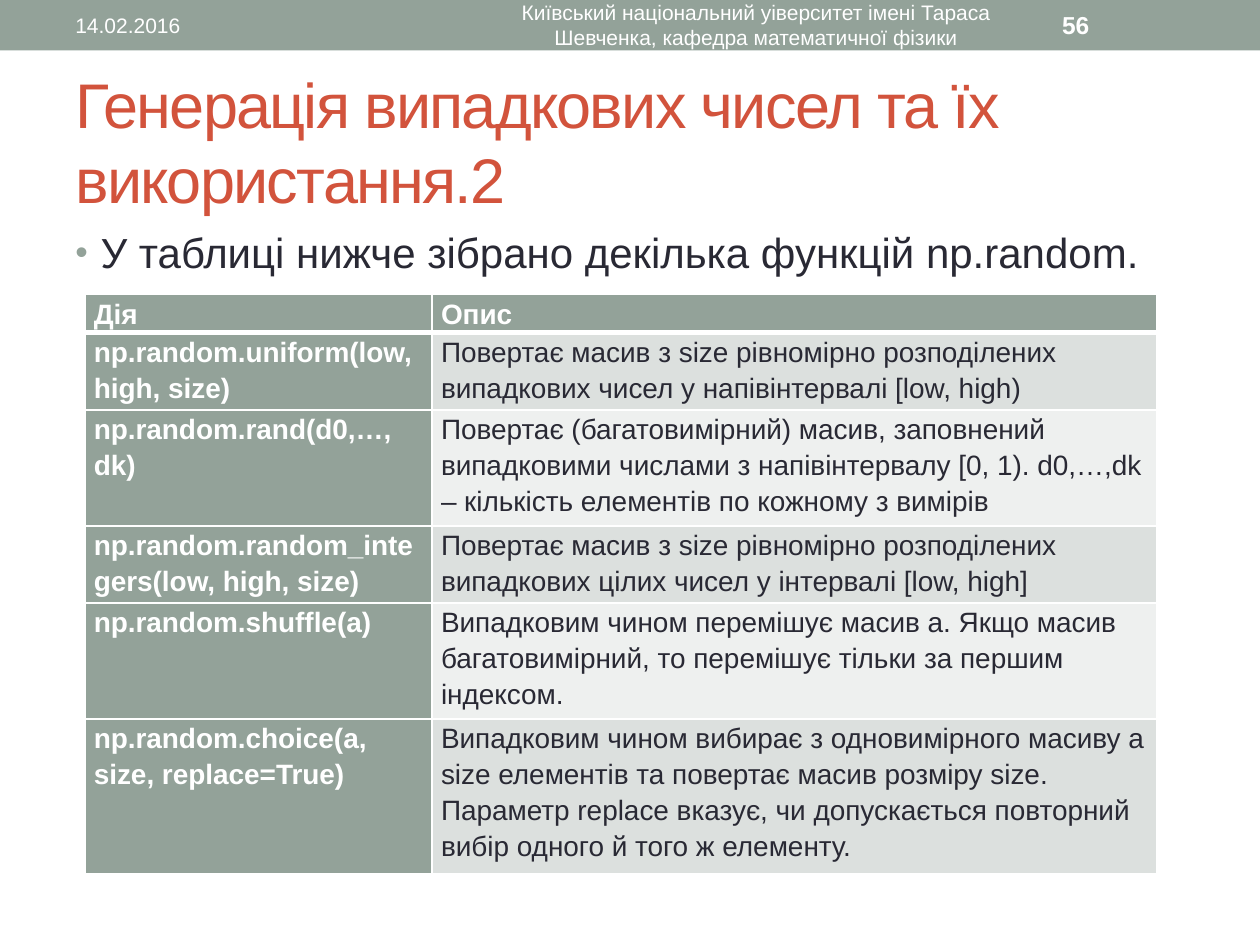
from dataclasses import dataclass

from lxml.etree import SubElement
from pptx import Presentation
from pptx.dml.color import RGBColor
from pptx.enum.shapes import MSO_SHAPE as Shape
from pptx.enum.text import MSO_ANCHOR as Anchor, PP_ALIGN as Align
from pptx.oxml import parse_xml
from pptx.oxml.ns import nsdecls, qn
from pptx.util import Cm, Pt

FONT = "Arial"
SAGE, WHITE, INK, RUST = "93A299", "FFFFFF", "292934", "D2533C"
BANDS = ("DCE0DE", "EEF0EF")
LINE_HEIGHT = 0.71


@dataclass
class Label:
    text: str
    left: float
    top: float
    width: float
    height: float
    size: float
    color: str = WHITE
    bold: bool = False
    align: Align = Align.LEFT
    anchor: Anchor = Anchor.MIDDLE
    spacing: int = 0


@dataclass
class Entry:
    action: str
    description: str
    lines: int


BAR_TOP, BAR_TEXT = 0.05, 0.91
LABELS = [
    Label("Генерація випадкових чисел та їх використання.2",
          1.27, 1.47, 22.86, 2.74, 36, RUST, spacing=-100),
    Label("14.02.2016", 1.27, BAR_TOP, 8.05, BAR_TEXT, 12),
    Label("Київський національний уіверситет імені Тараса Шевченка, кафедра математичної фізики",
          9.53, BAR_TOP, 11.43, BAR_TEXT, 12, align=Align.CENTER),
    Label("56", 21.16, BAR_TOP, 2.97, BAR_TEXT, 14, bold=True),
]
INTRO = Label("У таблиці нижче зібрано декілька функцій np.random.",
              1.27, 4.45, 22.86, 13.54, 24, INK, anchor=Anchor.TOP)
ENTRIES = [
    Entry("Дія", "Опис", 1),
    Entry("np.random.uniform(low, high, size)",
          "Повертає масив з size рівномірно розподілених випадкових чисел у напівінтервалі [low, high)", 2),
    Entry("np.random.rand(d0,…, dk)",
          "Повертає (багатовимірний) масив, заповнений випадковими числами з напівінтервалу [0, 1). "
          "d0,…,dk – кількість елементів по кожному з вимірів", 3),
    Entry("np.random.random_integers(low, high, size)",
          "Повертає масив з size рівномірно розподілених випадкових цілих чисел у інтервалі [low, high]", 2),
    Entry("np.random.shuffle(a)",
          "Випадковим чином перемішує масив a. Якщо масив багатовимірний, "
          "то перемішує тільки за першим індексом.", 3),
    Entry("np.random.choice(a, size, replace=True)",
          "Випадковим чином вибирає з одновимірного масиву a size елементів та повертає масив розміру size. "
          "Параметр replace вказує, чи допускається повторний вибір одного й того ж елементу.", 4),
]


def paint(target, color: str) -> None:
    target.solid()
    target.fore_color.rgb = RGBColor.from_string(color)


def style(span, size: float, color: str, bold: bool) -> None:
    span.font.name = FONT
    span.font.size = Pt(size)
    span.font.bold = bold
    paint(span.font.fill, color)


def add_bar(page) -> None:
    bar = page.shapes.add_shape(Shape.RECTANGLE, 0, 0, Cm(25.4), Cm(1.02))
    bar.shadow.inherit = False
    paint(bar.fill, SAGE)
    bar.line.fill.background()


def add_label(page, label: Label):
    box = page.shapes.add_textbox(Cm(label.left), Cm(label.top), Cm(label.width), Cm(label.height))
    frame = box.text_frame
    frame.text = label.text
    frame.word_wrap = True
    frame.vertical_anchor = label.anchor
    para = frame.paragraphs[0]
    para.alignment = label.align
    span = para.runs[0]
    style(span, label.size, label.color, label.bold)
    if label.spacing:
        span.font._element.set("spc", str(label.spacing))
    return para


def add_bullet(para) -> None:
    properties = para._p.get_or_add_pPr()
    indent = Cm(0.51)
    properties.set("marL", str(indent))
    properties.set("indent", str(-indent))
    color = SubElement(properties, qn("a:buClr"))
    SubElement(color, qn("a:srgbClr"), val=SAGE)
    SubElement(properties, qn("a:buSzPct"), val="85000")
    SubElement(properties, qn("a:buFont"), typeface=FONT)
    SubElement(properties, qn("a:buChar"), char="•")


def add_borders(cell, top: float, bottom: float) -> None:
    properties = cell._tc.get_or_add_tcPr()
    widths = {"lnL": 1, "lnR": 1, "lnT": top, "lnB": bottom}
    for position, (side, width) in enumerate(widths.items()):
        properties.insert(position, parse_xml(
            f'<a:{side} {nsdecls("a")} w="{Pt(width)}"><a:solidFill>'
            f'<a:srgbClr val="{WHITE}"/></a:solidFill></a:{side}>'))


def fill_cell(cell, text: str, fill: str, color: str, bold: bool) -> None:
    cell.text_frame.text = text
    cell.margin_left = cell.margin_right = Cm(0.18)
    cell.margin_top = cell.margin_bottom = 0
    para = cell.text_frame.paragraphs[0]
    para.line_spacing = 1.15
    style(para.runs[0], 16, color, bold)
    paint(cell.fill, fill)


def add_function_table(page, entries: list[Entry]) -> None:
    total = sum(entry.lines for entry in entries) * LINE_HEIGHT
    table = page.shapes.add_table(len(entries), 2, Cm(1.71), Cm(5.93), Cm(21.6), Cm(total)).table
    for column, width in zip(table.columns, (7, 14.6)):
        column.width = Cm(width)
    for index, entry in enumerate(entries):
        table.rows[index].height = Cm(entry.lines * LINE_HEIGHT)
        header = index == 0
        action, description = table.cell(index, 0), table.cell(index, 1)
        fill_cell(action, entry.action, SAGE, WHITE, True)
        fill_cell(description, entry.description,
                  SAGE if header else BANDS[(index - 1) % 2],
                  WHITE if header else INK, header)
        for cell in (action, description):
            add_borders(cell, 3 if index == 1 else 1, 3 if header else 1)


def main() -> None:
    deck = Presentation()
    deck.slide_width, deck.slide_height = Cm(25.4), Cm(19.05)
    page = deck.slides.add_slide(deck.slide_layouts[6])
    paint(page.background.fill, WHITE)
    add_bar(page)
    for label in LABELS:
        add_label(page, label)
    add_bullet(add_label(page, INTRO))
    add_function_table(page, ENTRIES)
    deck.save("out.pptx")


if __name__ == "__main__":
    main()
